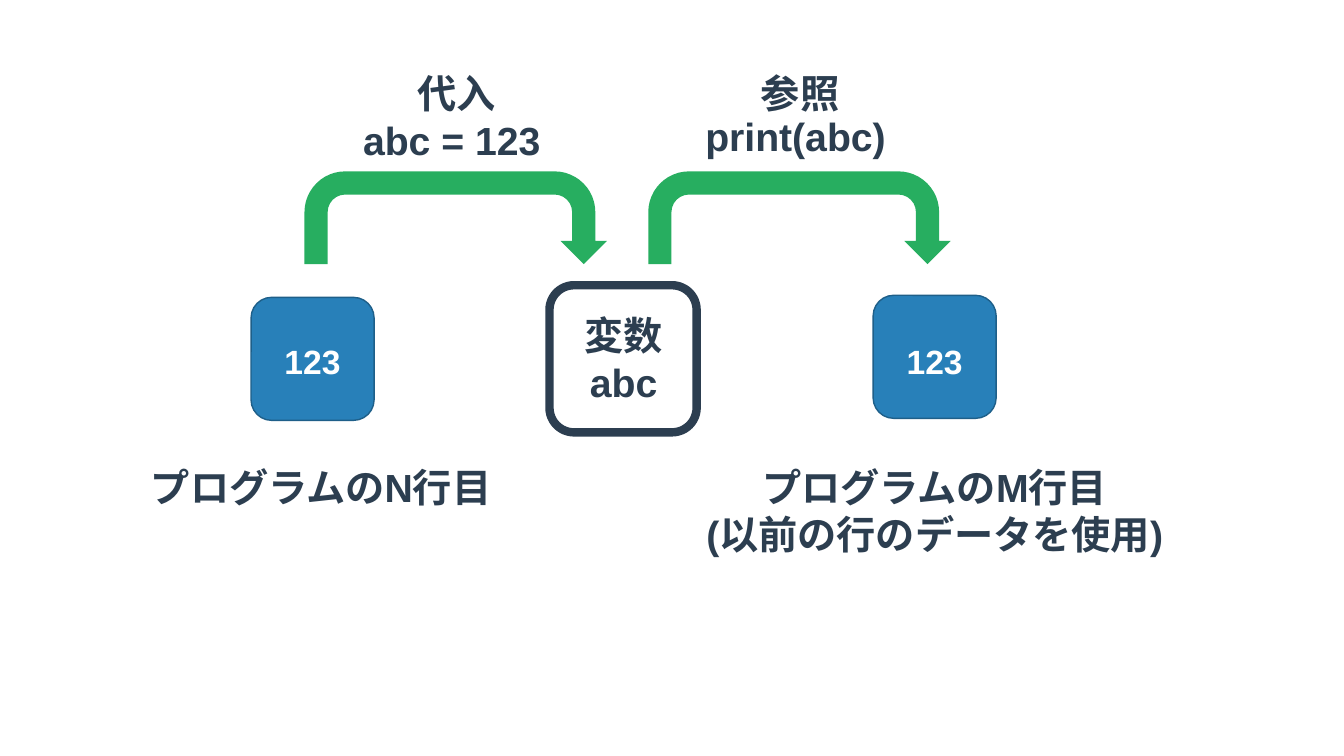
from dataclasses import dataclass

from pptx import Presentation
from pptx.dml.color import RGBColor
from pptx.enum.shapes import MSO_SHAPE
from pptx.enum.text import MSO_AUTO_SIZE, PP_ALIGN
from pptx.util import Inches, Pt


@dataclass(frozen=True)
class Theme:
    font: str = "Arial"
    ink: str = "2C3E50"
    blue: str = "2880B9"
    blue_edge: str = "1E5F89"
    green: str = "27AE60"
    white: str = "FFFFFF"
    label_size: int = 28
    value_size: int = 24


class Diagram:
    def __init__(self, page, theme):
        self.page = page
        self.theme = theme

    def shape(self, kind, left, top, width, height, fill=None, line=None, weight=1):
        shape = self.page.shapes.add_shape(
            kind, Inches(left), Inches(top), Inches(width), Inches(height))
        shape.shadow.inherit = False
        if fill:
            shape.fill.solid()
            shape.fill.fore_color.rgb = RGBColor.from_string(fill)
        else:
            shape.fill.background()
        if line:
            shape.line.color.rgb = RGBColor.from_string(line)
            shape.line.width = Pt(weight)
        else:
            shape.line.fill.background()
        return shape

    def square(self, left, top, side, **style):
        return self.shape(MSO_SHAPE.ROUNDED_RECTANGLE, left, top, side, side, **style)

    def arrow(self, left):
        arrow = self.shape(MSO_SHAPE.U_TURN_ARROW, left, 1.7, 3, 0.92,
                           fill=self.theme.green)
        for index, value in enumerate((0.25, 0.25, 0.25, 0.44, 1)):
            arrow.adjustments[index] = value

    def text(self, words, left, top, width, height, size=None, color=None, wrap=False):
        box = self.page.shapes.add_textbox(
            Inches(left), Inches(top), Inches(width), Inches(height))
        frame = box.text_frame
        frame.word_wrap = wrap
        frame.auto_size = MSO_AUTO_SIZE.SHAPE_TO_FIT_TEXT
        frame.text = words
        for para in frame.paragraphs:
            para.alignment = PP_ALIGN.CENTER
            for span in para.runs:
                span.font.name = self.theme.font
                span.font.size = Pt(size or self.theme.label_size)
                span.font.bold = True
                span.font.color.rgb = RGBColor.from_string(color or self.theme.ink)

    def value(self, words, left, top):
        theme = self.theme
        self.square(left, top, 1.22, fill=theme.blue, line=theme.blue_edge)
        self.text(words, left + 0.23, 3.33, 0.76, 0.5, theme.value_size, theme.white)

    def step(self, left, title, code, code_top):
        self.arrow(left)
        self.text(title, left + 1.01, 0.64, 0.99, 0.57)
        self.text(code, left + 0.45, code_top, 2.02, 0.57)


def main():
    deck = Presentation()
    deck.slide_width = Inches(13.33)
    deck.slide_height = Inches(7.5)
    theme = Theme()
    diagram = Diagram(deck.slides.add_slide(deck.slide_layouts[6]), theme)

    diagram.square(5.45, 2.83, 1.46, line=theme.ink, weight=6)
    diagram.text("変数\nabc", 5.69, 3.04, 0.99, 1.04)

    for left, top in ((2.49, 2.95), (8.66, 2.93)):
        diagram.value("123", left, top)

    diagram.step(3.02, "代入", "abc = 123", 1.1)
    diagram.step(6.43, "参照", "print(abc)", 1.07)

    diagram.text("プログラムのN行目", 1.36, 4.55, 3.65, 0.57, wrap=True)
    diagram.text("プログラムのM行目\n(以前の行のデータを使用)",
                 6.88, 4.55, 4.78, 1.04, wrap=True)

    deck.save("out.pptx")


if __name__ == "__main__":
    main()
